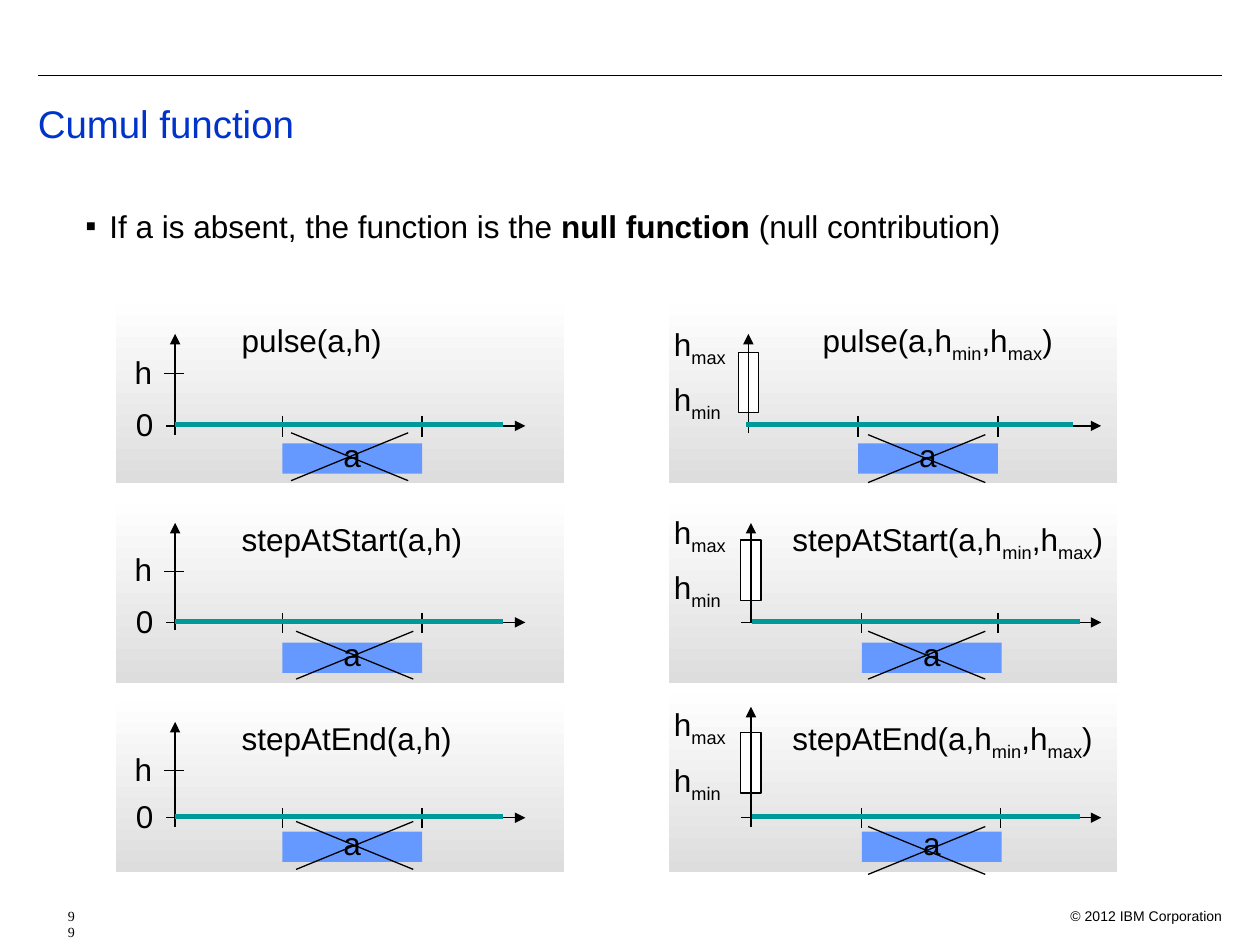
from dataclasses import dataclass

from lxml.etree import SubElement
from pptx import Presentation
from pptx.dml.color import RGBColor
from pptx.enum.shapes import MSO_CONNECTOR as Connector, MSO_SHAPE as Shape
from pptx.enum.text import MSO_ANCHOR as Anchor, MSO_AUTO_SIZE as AutoSize, PP_ALIGN as Align
from pptx.oxml.ns import qn
from pptx.util import Inches, Pt

BLACK = RGBColor(0x00, 0x00, 0x00)
WHITE = RGBColor(0xFF, 0xFF, 0xFF)
TITLE_BLUE = RGBColor(0x00, 0x33, 0xCC)
INTERVAL_BLUE = RGBColor(0x66, 0x99, 0xFF)
TEAL = RGBColor(0x00, 0x99, 0x99)
PANEL_LIGHT = RGBColor(0xFE, 0xFE, 0xFE)
PANEL_DARK = RGBColor(0xDD, 0xDD, 0xDD)

COLUMNS, ROWS = 100, 75
SLIDE_WIDTH, SLIDE_HEIGHT = Inches(10), Inches(7.5)


def grid(left, top, width, height):
    """Turn grid columns and rows into slide lengths."""
    x_unit, y_unit = SLIDE_WIDTH / COLUMNS, SLIDE_HEIGHT / ROWS
    return (round(left * x_unit), round(top * y_unit),
            round(width * x_unit), round(height * y_unit))


@dataclass
class Plot:
    """One panel; all places are grid columns and rows."""
    label: str
    label_left: float
    label_top: float
    label_width: float
    left: float
    top: float
    bottom: float
    base: float            # row of the time axis
    axis: float            # column of the height axis
    axis_top: float
    axis_bottom: float
    start: float           # columns of the interval's ends
    end: float
    interval_top: float
    cross_left: float
    cross_top: float
    level_top: float       # row of the topmost height label
    curve_left: float


class Canvas:
    def __init__(self, slide, font="Arial", size=18):
        self.slide, self.font, self.size = slide, font, size

    def add_runs(self, paragraph, text, size=None, color=BLACK, font=None):
        """Add text in which every second part between bars is a subscript."""
        for index, part in enumerate(text.split("|")):
            run = self.add_run(paragraph, part, size, color, font)
            if index % 2:
                run._r.get_or_add_rPr().set("baseline", "-25000")

    def add_run(self, paragraph, text, size=None, color=BLACK, font=None):
        run = paragraph.add_run()
        run.text = text
        run.font.name = font or self.font
        run.font.size = Pt(size or self.size)
        run.font.color.rgb = color
        return run

    def title(self, text, *place):
        shape = self.slide.shapes.title
        shape.left, shape.top, shape.width, shape.height = grid(*place)
        frame = shape.text_frame
        frame.auto_size, frame.vertical_anchor = AutoSize.NONE, Anchor.MIDDLE
        paragraph = frame.paragraphs[0]
        paragraph.alignment, paragraph.line_spacing = Align.LEFT, 0.9
        self.add_runs(paragraph, text, 22, TITLE_BLUE)

    def text_box(self, *place, wrap=True):
        """Add an empty text box and return its first paragraph."""
        frame = self.slide.shapes.add_textbox(*grid(*place)).text_frame
        frame.word_wrap = wrap
        if not wrap:
            frame.auto_size = AutoSize.SHAPE_TO_FIT_TEXT
        return frame.paragraphs[0]

    def label(self, text, left, top, width):
        height = 4.4 if "|" in text else 4
        self.add_runs(self.text_box(left, top, width, height, wrap=False), text)

    def rectangle(self, *place, fill=None, line=None):
        shape = self.slide.shapes.add_shape(Shape.RECTANGLE, *grid(*place))
        shape.shadow.inherit = False
        if fill is not None:
            shape.fill.solid()
            shape.fill.fore_color.rgb = fill
        if line is None:
            shape.line.fill.background()
        else:
            shape.line.color.rgb, shape.line.width = line, Pt(0.75)
        return shape

    def panel(self, *place):
        fill = self.rectangle(*place).fill
        fill.gradient()
        fill.gradient_angle = 270
        for stop, color in zip(fill.gradient_stops, (PANEL_LIGHT, PANEL_DARK)):
            stop.color.rgb = color

    def interval(self, text, *place):
        frame = self.rectangle(*place, fill=INTERVAL_BLUE).text_frame
        frame.word_wrap, frame.vertical_anchor = False, Anchor.MIDDLE
        paragraph = frame.paragraphs[0]
        paragraph.alignment, paragraph.line_spacing = Align.CENTER, 0.8
        self.add_runs(paragraph, text)

    def line(self, x1, y1, x2, y2, color=BLACK, width=0.75, arrow=False):
        connector = self.slide.shapes.add_connector(
            Connector.STRAIGHT, *grid(x1, y1, x2, y2))
        connector.line.color.rgb, connector.line.width = color, Pt(width)
        if arrow:
            SubElement(connector.line._get_or_add_ln(), qn("a:tailEnd"), type="triangle")
        SubElement(connector._element.spPr, qn("a:effectLst"))

    def cross(self, left, top, width=9.3, height=3.8):
        right, bottom = left + width, top + height
        self.line(left, bottom, right, top)
        self.line(right, bottom, left, top)

    def fixed_height(self, plot):
        self.label("h", 9.7, plot.level_top, 3.4)
        level = plot.level_top + 2.15
        self.line(13, level, 14.6, level)
        self.label("0", 9.8, plot.base - 2.15, 3.4)
        self.line(13.2, plot.base, 14.8, plot.base)

    def height_range(self, plot):
        self.rectangle(plot.axis - 0.8, plot.level_top + 2.65, 1.6, 4.8,
                       fill=WHITE, line=BLACK)
        self.label("h|max", 52.5, plot.level_top, 6.1)
        self.label("h|min", 52.5, plot.level_top + 4.4, 5.7)
        if plot.label.startswith("step"):
            self.line(plot.axis - 0.8, plot.base, plot.axis + 0.8, plot.base)

    def plot(self, plot):
        self.panel(plot.left, plot.top, 35.6, plot.bottom - plot.top)
        has_range = "|" in plot.label
        if has_range:
            self.height_range(plot)
        else:
            self.fixed_height(plot)
        time_left = plot.left + (6.6 if has_range else 4.8)
        self.line(time_left, plot.base, time_left + 27.7, plot.base, arrow=True)
        self.line(plot.axis, plot.axis_bottom, plot.axis, plot.axis_top, arrow=True)
        for column in (plot.start, plot.end):
            self.line(column, plot.base - 0.75, column, plot.base + 0.85)
        self.label(plot.label, plot.label_left, plot.label_top, plot.label_width)
        self.interval("a", plot.start, plot.interval_top, 11.1, 2.4)
        curve_row = plot.base - 0.1
        self.line(plot.curve_left, curve_row, plot.curve_left + 26, curve_row, TEAL, 3)
        self.cross(plot.cross_left, plot.cross_top)


def set_indent(paragraph, margin, first=0):
    properties = paragraph._p.get_or_add_pPr()
    properties.set("marL", str(Inches(margin)))
    properties.set("indent", str(Inches(first)))
    return properties


PLOTS = [
    Plot("pulse(a,h)", 18.2, 25, 13.1, 9.2, 24.1, 38.3, 33.8, 13.9, 26.5, 34.5,
         22.4, 33.5, 35.2, 23.1, 34.35, 27.5, 13.9),
    Plot("stepAtStart(a,h)", 18.2, 40.8, 19.5, 9.2, 39.9, 54.2, 49.4, 13.9, 41.5, 50,
         22.4, 33.5, 51, 23.5, 50.1, 43.2, 13.9),
    Plot("stepAtEnd(a,h)", 18.2, 56.6, 18.7, 9.2, 55.7, 69.2, 64.9, 13.9, 57.3, 65.6,
         22.4, 33.5, 66, 23.5, 65.2, 59, 13.9),
    Plot("pulse(a,h|min|,h|max|)", 64.3, 25, 20.4, 53.1, 24.1, 38.3, 33.8, 59.4, 26.5, 34.4,
         68.1, 79.2, 35.2, 68.9, 34.5, 25.3, 59.2),
    Plot("stepAtStart(a,h|min|,h|max|)", 61.9, 40.8, 27, 53.1, 39.9, 54.2, 49.4, 59.6, 41.5,
         49.4, 68.4, 79.2, 51, 68.9, 50.1, 40.2, 59.7),
    Plot("stepAtEnd(a,h|min|,h|max|)", 61.9, 56.6, 26.2, 53.1, 55, 69.2, 64.9, 59.6, 56.1,
         65.6, 68.4, 79.4, 66, 68.9, 65.6, 55.5, 59.7),
]


def main():
    presentation = Presentation()
    presentation.slide_width, presentation.slide_height = SLIDE_WIDTH, SLIDE_HEIGHT
    canvas = Canvas(presentation.slides.add_slide(presentation.slide_layouts[5]))

    canvas.line(3, 6, 97, 6)
    canvas.title("Cumul function", 2, 6.5, 95, 7)
    for plot in PLOTS:
        canvas.plot(plot)

    statement = canvas.text_box(5.8, 15.95, 89.9, 4)
    properties = set_indent(statement, 0.19, -0.19)
    SubElement(properties, qn("a:buFont"), typeface="Arial")
    SubElement(properties, qn("a:buChar"), char="▪")
    canvas.add_run(statement, "If a is absent, the function is the ")
    canvas.add_run(statement, "null function").font.bold = True
    canvas.add_run(statement, " (null contribution)")

    copyright_line = canvas.text_box(83, 71.5, 15, 2)
    copyright_line.alignment = Align.RIGHT
    canvas.add_runs(copyright_line, "© 2012 IBM Corporation", 8)
    page_number = canvas.text_box(2, 71.5, 4, 2)
    set_indent(page_number, 0.24)
    canvas.add_runs(page_number, "99", 8, font="Times New Roman")

    presentation.save("out.pptx")


if __name__ == "__main__":
    main()
